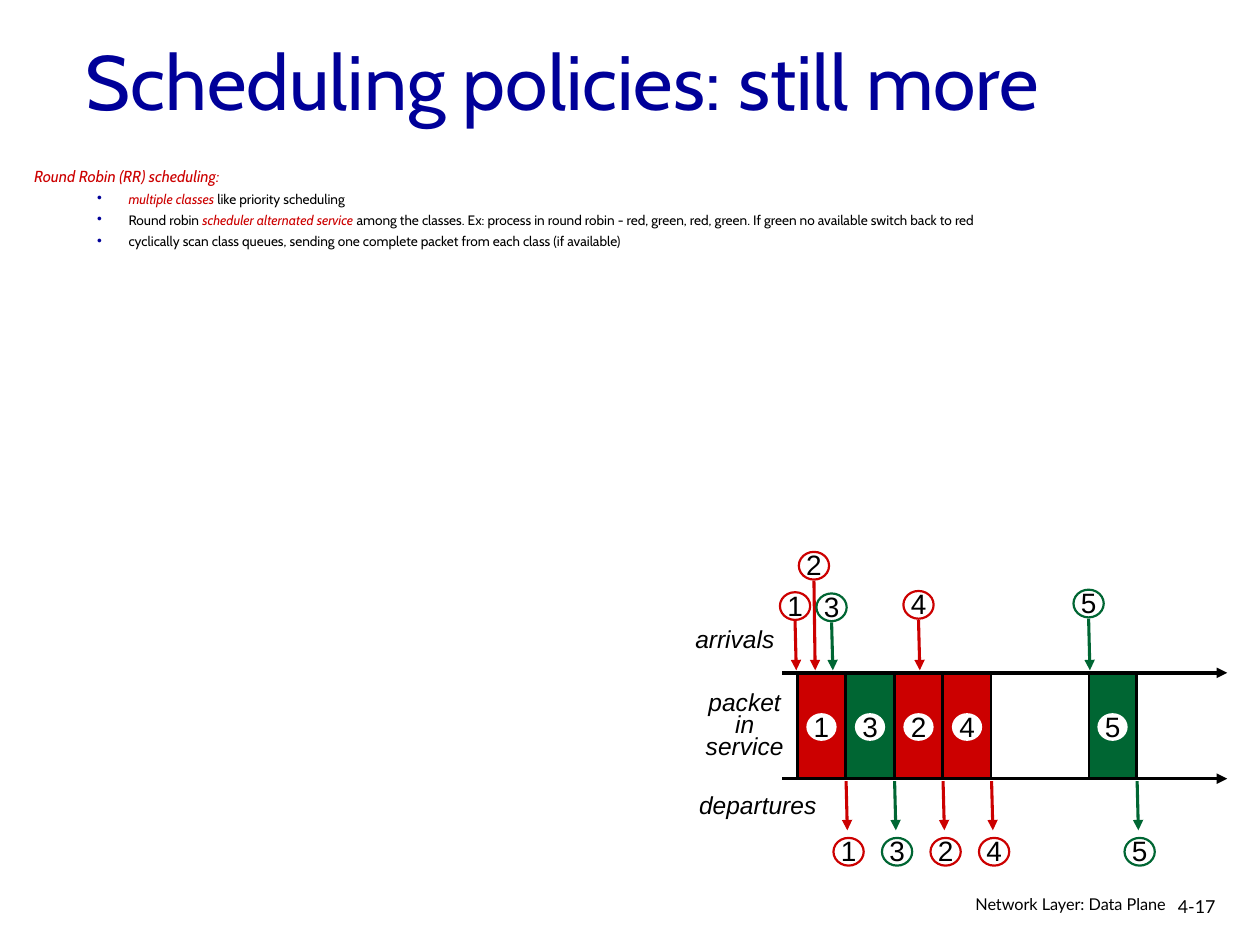
from lxml import etree
from pptx import Presentation, util as u
from pptx.dml.color import RGBColor
from pptx.enum import shapes, text
from pptx.oxml.ns import qn

COLORS = {"navy": "000099", "red": "CC0000", "green": "006633", "black": "000000", "white": "FFFFFF"}


class SchedulingSlide:
    """Holds the style and the slide, and adds each kind of element."""

    number_size = 16
    label_size = 14

    def __init__(self, slide):
        self.slide = slide

    def color(self, name):
        return RGBColor.from_string(COLORS[name])

    def place(self, shape, left, top, width, height):
        shape.left, shape.top = u.Inches(left), u.Inches(top)
        shape.width, shape.height = u.Inches(width), u.Inches(height)

    def style(self, font, size, face, color="black", italic=False):
        font.size, font.name, font.italic = u.Pt(size), face, italic
        font.color.rgb = self.color(color)

    def title(self, wording, *box):
        shape = self.slide.shapes.title
        self.place(shape, *box)
        frame = shape.text_frame
        frame.text = wording
        frame.vertical_anchor = text.MSO_ANCHOR.MIDDLE
        frame.auto_size = text.MSO_AUTO_SIZE.NONE
        paragraph = frame.paragraphs[0]
        paragraph.alignment = text.PP_ALIGN.LEFT
        self.style(paragraph.runs[0].font, 44, "Cabin", "navy")

    def bullet(self, paragraph, indent, hanging, symbol=None):
        properties = paragraph._p.get_or_add_pPr()
        properties.set("marL", str(u.Inches(indent)))
        properties.set("indent", str(-u.Inches(hanging)))
        if symbol is None:
            etree.SubElement(properties, qn("a:buNone"))
            return
        bullet_color = etree.SubElement(properties, qn("a:buClr"))
        etree.SubElement(bullet_color, qn("a:srgbClr"), val=COLORS["navy"])
        etree.SubElement(properties, qn("a:buFont"), typeface="Arial")
        etree.SubElement(properties, qn("a:buChar"), char=symbol)

    def body(self, heading, items, *box):
        shape = self.slide.placeholders[1]
        self.place(shape, *box)
        frame = shape.text_frame
        frame.auto_size = text.MSO_AUTO_SIZE.NONE
        for index, parts in enumerate([[(heading, True)], *items]):
            paragraph = frame.add_paragraph() if index else frame.paragraphs[0]
            paragraph.level = 1 if index else 0
            if index:
                self.bullet(paragraph, 0.75, 0.25, "•")
            else:
                self.bullet(paragraph, 0.38, 0.38)
            paragraph.line_spacing = 0.65
            paragraph.space_before = u.Pt(6 if index else 0)
            for wording, emphasis in parts:
                run = paragraph.add_run()
                run.text = wording
                color = "red" if emphasis else "black"
                self.style(run.font, 7.8 if index else 9.1, "Cabin", color, emphasis)

    def label(self, wording, box, size, face="Arial", italic=False, wrap=False,
              align=text.PP_ALIGN.LEFT, spacing=None):
        shape = self.slide.shapes.add_textbox(*map(u.Inches, box))
        frame = shape.text_frame
        frame.word_wrap = wrap
        frame.text = wording
        paragraph = frame.paragraphs[0]
        paragraph.alignment, paragraph.line_spacing = align, spacing
        self.style(paragraph.runs[0].font, size, face, italic=italic)

    def block(self, kind, box, fill, line=None):
        shape = self.slide.shapes.add_shape(kind, *map(u.Inches, box))
        shape.shadow.inherit = False
        shape.fill.solid()
        shape.fill.fore_color.rgb = self.color(fill)
        if line:
            shape.line.color.rgb = self.color(line)
            shape.line.width = u.Pt(1.25)
        else:
            shape.line.fill.background()

    def number(self, value, left, top, line=None):
        self.block(shapes.MSO_SHAPE.OVAL, (left, top, 0.24, 0.22), "white", line)
        self.label(value, (left - 0.04, top - 0.08, 0.32, 0.37), self.number_size)

    def arrow(self, start, end, color, width):
        connector = self.slide.shapes.add_connector(
            shapes.MSO_CONNECTOR.STRAIGHT, *map(u.Inches, (*start, *end)))
        connector.line.color.rgb = self.color(color)
        connector.line.width = u.Pt(width)
        etree.SubElement(connector.line._get_or_add_ln(), qn("a:tailEnd"), type="triangle")
        etree.SubElement(connector._element.spPr, qn("a:effectLst"))

    def arrival(self, value, color, x, top):
        self.arrow((x, top + 0.23), (x + 0.01, 5.32), color, 1.75)
        self.number(value, x - 0.12, top, color)

    def service(self, value, color, left):
        self.block(shapes.MSO_SHAPE.RECTANGLE, (left, 5.35, 0.38, 0.83), color, "black")
        self.number(value, left + 0.07, 5.66)

    def departure(self, value, color, x):
        self.arrow((x, 6.2), (x + 0.01, 6.59), color, 1.75)
        self.number(value, x - 0.1, 6.65, color)


def main():
    presentation = Presentation()
    presentation.slide_width, presentation.slide_height = u.Inches(10), u.Inches(7.5)
    page = SchedulingSlide(presentation.slides.add_slide(presentation.slide_layouts[1]))
    page.title("Scheduling policies: still more", 0.58, 0.01, 8.5, 1.25)
    page.body("Round Robin (RR) scheduling:", [
        [("multiple classes ", True), ("like priority scheduling", False)],
        [("Round robin ", False), ("scheduler alternated service ", True),
         ("among the classes. Ex: process in round robin - red, green, red, green. "
          "If green no available switch back to red", False)],
        [("cyclically scan class queues, sending one complete packet "
          "from each class (if available)", False)],
    ], 0.17, 1.32, 8.5, 0.83)

    for timeline in (5.34, 6.18):
        page.arrow((6.21, timeline), (9.74, timeline), "black", 2)

    packet_colors = {"1": "red", "2": "red", "3": "green", "4": "red", "5": "green"}
    first_slot, slot_width = 6.33, 0.385
    for value, slot in (("1", 0), ("3", 1), ("2", 2), ("4", 3), ("5", 6)):
        left = first_slot + slot * slot_width
        page.service(value, packet_colors[value], left)
        page.departure(value, packet_colors[value], left + slot_width)
    for value, x, top in (("1", 6.31, 4.7), ("2", 6.46, 4.38), ("3", 6.6, 4.71),
                          ("4", 7.29, 4.69), ("5", 8.64, 4.68)):
        page.arrival(value, packet_colors[value], x, top)

    page.label("arrivals", (5.42, 4.9, 0.83, 0.34), page.label_size, italic=True)
    page.label("departures", (5.45, 6.22, 1.13, 0.34), page.label_size, italic=True)
    page.label("packet in service", (5.44, 5.46, 0.94, 0.63), page.label_size, italic=True,
               wrap=True, align=text.PP_ALIGN.CENTER, spacing=u.Pt(12.7))
    page.label("4-17", (9.25, 7.08, 0.61, 0.3), 10.2, "Lato", wrap=True, spacing=0.9)
    page.label("Network Layer: Data Plane", (6.97, 7.08, 2.38, 0.26), 9.3, "Lato",
               wrap=True, align=text.PP_ALIGN.RIGHT, spacing=0.8)
    presentation.save("out.pptx")


if __name__ == "__main__":
    main()
